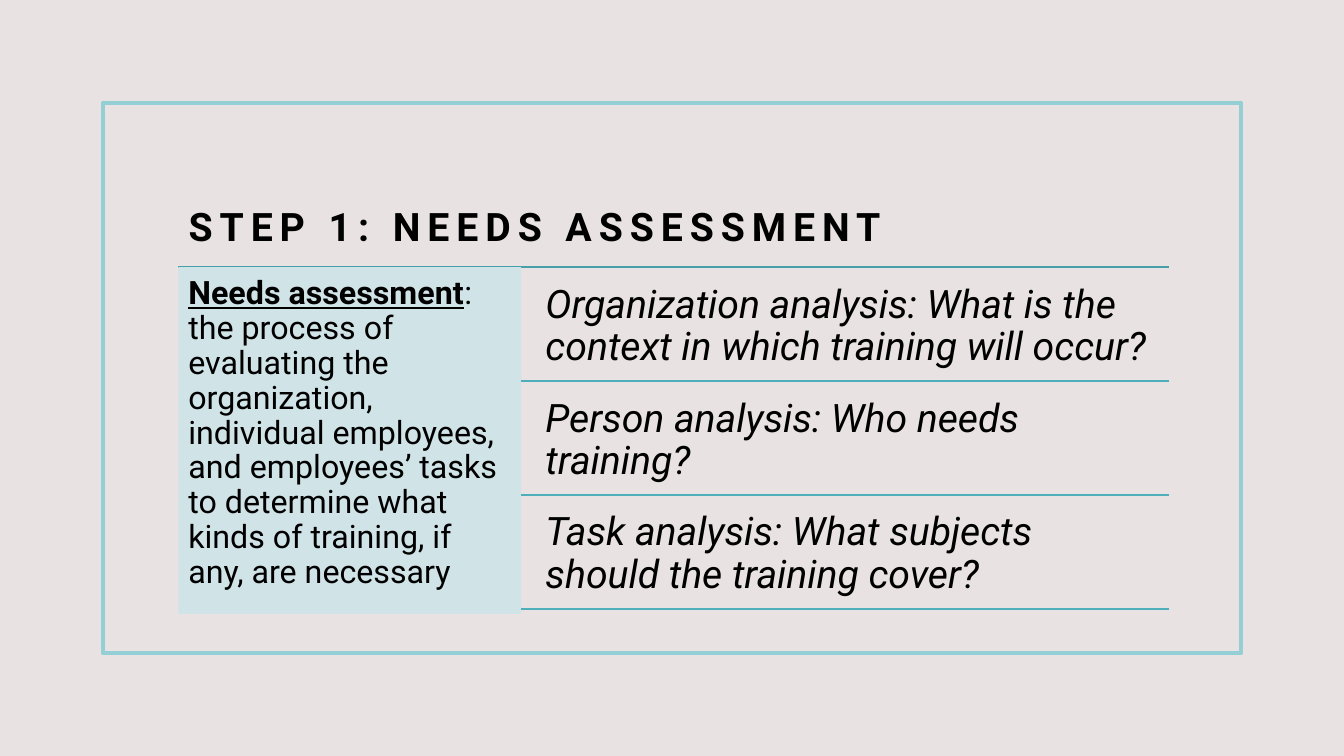
from dataclasses import dataclass

from lxml import etree
from pptx import Presentation
from pptx.dml.color import RGBColor
from pptx.enum import shapes, text
from pptx.oxml import ns
from pptx.util import Inches, Pt


@dataclass(frozen=True)
class Theme:
    font: str = "Roboto"
    background: str = "E8E3E2"
    frame: str = "95CFD6"
    title_rule: str = "479FA9"
    row_rule: str = "4EAFBA"
    panel: str = "D0E3E7"
    ink: str = "000000"
    heading_size: int = 28
    definition_size: int = 23
    question_size: int = 28


THEME = Theme()
LEFT, TOP, RIGHT = 1.77, 2.65, 11.59
PANEL_WIDTH, PANEL_HEIGHT = 3.4, 3.44
ROW_PITCH = 1.13
TERM = "Needs assessment"
DEFINITION = (
    ": the process of evaluating the organization, individual employees, "
    "and employees’ tasks to determine what kinds of training, if any, are necessary"
)
QUESTIONS = [
    "Organization analysis: What is the context in which training will occur?",
    "Person analysis: Who needs training?",
    "Task analysis: What subjects should the training cover?",
]


def color(value):
    return RGBColor.from_string(value)


def style(para, size, spacing, bold=None, italic=None):
    para.line_spacing = spacing
    font = para.font
    font.name = THEME.font
    font.size = Pt(size)
    font.color.rgb = color(THEME.ink)
    font.bold = bold
    font.italic = italic


def set_frame(frame, inset, anchor):
    frame.word_wrap = True
    frame.auto_size = text.MSO_AUTO_SIZE.NONE
    frame.vertical_anchor = anchor
    frame.margin_left = frame.margin_right = Inches(inset)
    frame.margin_top = frame.margin_bottom = Inches(inset)


def add_rectangle(page, left, top, width, height):
    box = page.shapes.add_shape(
        shapes.MSO_SHAPE.RECTANGLE,
        Inches(left), Inches(top), Inches(width), Inches(height),
    )
    box.shadow.inherit = False
    return box


def add_border(page):
    box = add_rectangle(page, 1.02, 1.02, 11.29, 5.46)
    box.fill.background()
    box.line.color.rgb = color(THEME.frame)
    box.line.width = Pt(3)


def add_title(page, wording):
    title = page.shapes.title
    title.left, title.top = Inches(LEFT), Inches(1.35)
    title.width, title.height = Inches(RIGHT - LEFT), Inches(1.17)
    frame = title.text_frame
    set_frame(frame, 0.1, text.MSO_ANCHOR.BOTTOM)
    frame.margin_top = frame.margin_bottom = Inches(0.05)
    para = frame.paragraphs[0]
    para.alignment = text.PP_ALIGN.LEFT
    span = para.add_run()
    span.text = wording
    span._r.get_or_add_rPr().set("spc", "500")
    style(para, THEME.heading_size, 1.2, bold=True)


def add_rule(page, left, right, top, line_color):
    rule = page.shapes.add_connector(
        shapes.MSO_CONNECTOR.STRAIGHT,
        Inches(left), Inches(top), Inches(right), Inches(top),
    )
    rule.line.color.rgb = color(line_color)
    rule.line.width = Pt(1)
    etree.SubElement(rule._element.spPr, ns.qn("a:effectLst"))


def add_definition(page):
    box = add_rectangle(page, LEFT, TOP, PANEL_WIDTH, PANEL_HEIGHT)
    box.fill.solid()
    box.fill.fore_color.rgb = color(THEME.panel)
    box.line.fill.background()
    set_frame(box.text_frame, 0.1, text.MSO_ANCHOR.TOP)
    para = box.text_frame.paragraphs[0]
    para.alignment = text.PP_ALIGN.LEFT
    for wording, is_term in ((TERM, True), (DEFINITION, False)):
        span = para.add_run()
        span.text = wording
        span.font.bold = is_term
        span.font.underline = is_term
        span.font.color.rgb = color(THEME.ink)
    style(para, THEME.definition_size, 0.9)


def add_question(page, wording, top):
    box = page.shapes.add_textbox(
        Inches(5.29), Inches(top + 0.05), Inches(6.29), Inches(1.07)
    )
    set_frame(box.text_frame, 0.12, text.MSO_ANCHOR.TOP)
    para = box.text_frame.paragraphs[0]
    para.text = wording
    style(para, THEME.question_size, 0.9, italic=True)


def main():
    deck = Presentation()
    deck.slide_width, deck.slide_height = Inches(13.33), Inches(7.5)
    page = deck.slides.add_slide(deck.slide_layouts.get_by_name("Title Only"))
    page.background.fill.solid()
    page.background.fill.fore_color.rgb = color(THEME.background)
    add_border(page)
    add_title(page, "STEP 1: NEEDS ASSESSMENT")
    add_rule(page, LEFT, RIGHT, TOP, THEME.title_rule)
    add_definition(page)
    for row, question in enumerate(QUESTIONS):
        top = TOP + row * ROW_PITCH
        add_question(page, question, top)
        add_rule(page, LEFT + PANEL_WIDTH, RIGHT, top + ROW_PITCH, THEME.row_rule)
    deck.save("out.pptx")


if __name__ == "__main__":
    main()
